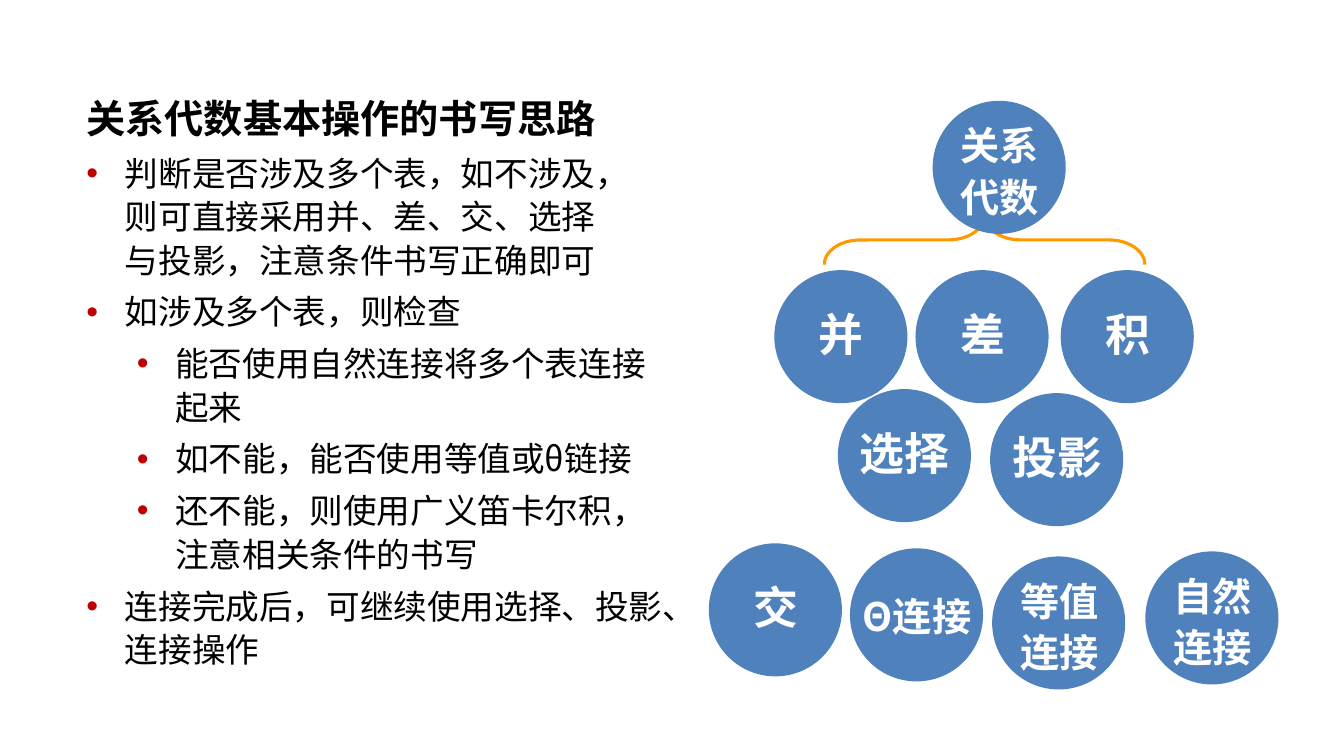
import pptx
import pptx.util
import pptx.oxml
import pptx.oxml.ns
import pptx.dml.color
import pptx.enum.shapes
import pptx.enum.text
from lxml import etree

Inches = pptx.util.Inches
Pt = pptx.util.Pt
RGBColor = pptx.dml.color.RGBColor
SHAPE = pptx.enum.shapes.MSO_SHAPE
CENTER = pptx.enum.text.PP_ALIGN.CENTER
qn = pptx.oxml.ns.qn

BLACK = RGBColor(0x00, 0x00, 0x00)
WHITE = RGBColor(0xFF, 0xFF, 0xFF)
BLUE = RGBColor(0x4F, 0x81, 0xBD)
ORANGE = RGBColor(0xFF, 0x99, 0x00)
RED = RGBColor(0xC0, 0x00, 0x00)
FONT = "Noto Sans CJK SC"
SIZE = 1.32

TITLE = "关系代数基本操作的书写思路"
STEPS = [
    (0, "判断是否涉及多个表，如不涉及，\v则可直接采用并、差、交、选择\v与投影，注意条件书写正确即可"),
    (0, "如涉及多个表，则检查"),
    (1, "能否使用自然连接将多个表连接起来"),
    (1, "如不能，能否使用等值或θ链接"),
    (1, "还不能，则使用广义笛卡尔积，注意相关条件的书写"),
    (0, "连接完成后，可继续使用选择、投影、连接操作"),
]
NODES = [
    (2.22, 0.21, 28, ["关系", "代数"]),
    (0.65, 1.89, 32, ["并"]),
    (2.05, 1.89, 32, ["差"]),
    (3.49, 1.89, 32, ["积"]),
    (1.28, 3.07, 32, ["选择"]),
    (2.79, 3.11, 32, ["投影"]),
    (0, 4.6, 32, ["交"]),
    (1.4, 4.65, 28, ["Θ连接"]),
    (2.81, 4.73, 28, ["等值", "连接"]),
    (4.33, 4.68, 28, ["自然", "连接"]),
]


def add_text(shapes, left, top, width, height):
    box = shapes.add_textbox(Inches(left), Inches(top), Inches(width), Inches(height))
    box.text_frame.word_wrap = True
    return box.text_frame


def add_line(frame, first, text, size, color, bold, level=None):
    para = frame.paragraphs[0] if first else frame.add_paragraph()
    para.text = text
    para.line_spacing = Pt(31)
    para.space_before = Pt(0 if first else 6)
    props = para._p.get_or_add_pPr()
    if level is not None:
        para.level = level
        props.set("marL", str(Inches(0.38 + 0.5 * level)))
        props.set("indent", str(Inches(-0.38)))
        tint = etree.SubElement(props, qn("a:buClr"))
        etree.SubElement(tint, qn("a:srgbClr"), val=str(RED))
        etree.SubElement(props, qn("a:buFont"), typeface="Arial")
        etree.SubElement(props, qn("a:buChar"), char="•")
    font = para.font
    font.size = Pt(size)
    font.bold = bold
    font.color.rgb = color
    font.name = FONT
    etree.SubElement(props.find(qn("a:defRPr")), qn("a:ea"), typeface=FONT)
    return para


def add_steps(slide, left, top, width, height):
    frame = add_text(slide.shapes, left, top, width, height)
    add_line(frame, True, TITLE, 28, BLACK, True)
    for level, text in STEPS:
        add_line(frame, False, text, 24, BLACK, False, level)


def add_node(slide, left, top, size, lines):
    group = slide.shapes.add_group_shape()
    disc = group.shapes.add_shape(
        SHAPE.OVAL, Inches(left), Inches(top), Inches(SIZE), Inches(SIZE))
    disc.shadow.inherit = False
    disc.fill.solid()
    disc.fill.fore_color.rgb = BLUE
    disc.line.fill.background()
    drop, height = (0.42, 0.54) if len(lines) == 1 else (0.19, 1.05)
    frame = add_text(group.shapes, left - 0.2, top + drop, 1.73, height)
    for place, text in enumerate(lines):
        para = add_line(frame, place == 0, text, size, WHITE, True)
        para.alignment = CENTER


def add_brace(slide, left, top, width, height):
    brace = slide.shapes.add_shape(
        SHAPE.LEFT_BRACE, Inches(left), Inches(top), Inches(width), Inches(height))
    brace.rotation = 90
    brace.adjustments[0] = 0.73
    brace.shadow.inherit = False
    brace.fill.background()
    brace.line.color.rgb = ORANGE
    brace.line.width = Pt(2.25)


def add_tree(slide, left, top):
    add_brace(slide, left + 2.49, top, 0.49, 3.18)
    for across, down, size, lines in NODES:
        add_node(slide, left + across, top + down, size, lines)


def main():
    deck = pptx.Presentation()
    deck.slide_width = Inches(13.33)
    deck.slide_height = Inches(7.5)
    slide = deck.slides.add_slide(deck.slide_layouts[6])
    add_steps(slide, 0.76, 0.92, 6.04, 5.79)
    add_tree(slide, 7.03, 0.79)
    deck.save("out.pptx")


if __name__ == "__main__":
    main()
